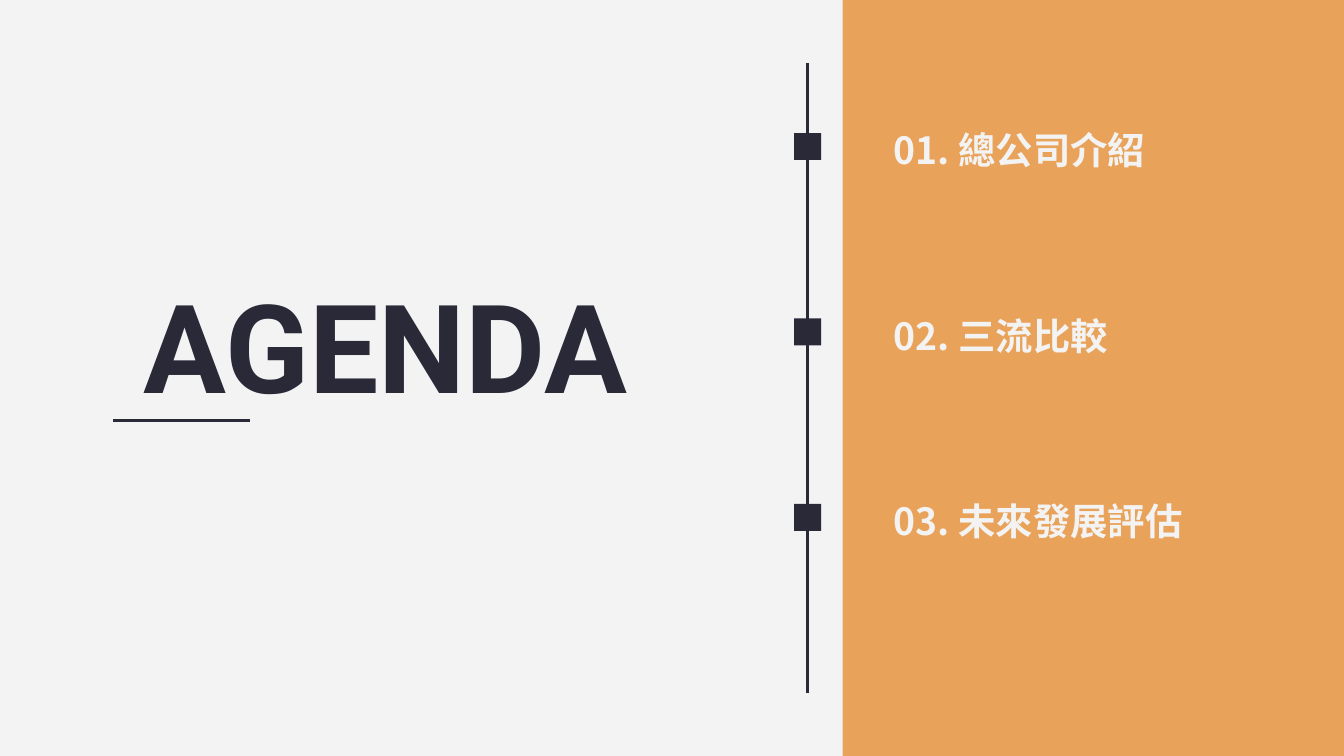
from pptx import Presentation
from pptx.dml.color import RGBColor
from pptx.enum.shapes import MSO_CONNECTOR, MSO_SHAPE
from pptx.enum.text import MSO_ANCHOR
from pptx.oxml.ns import qn
from pptx.util import Inches, Pt
from lxml import etree

DARK, LIGHT, ORANGE = "292938", "F3F3F3", "E9A259"


def color(value):
    return RGBColor.from_string(value)


def add_text(text, box, inset, size, font, fill):
    tb = s.shapes.add_textbox(*map(Inches, box))
    tf = tb.text_frame
    tf.word_wrap = True
    tf.vertical_anchor = MSO_ANCHOR.BOTTOM
    (tf.margin_left, tf.margin_top,
     tf.margin_right, tf.margin_bottom) = map(Inches, inset)
    p = tf.paragraphs[0]
    p.text = text
    p.font.size = Pt(size)
    p.font.bold = True
    p.font.name = font
    p.font.color.rgb = color(fill)
    # East Asian characters take their own font element
    props = p._p.pPr.find(qn("a:defRPr"))
    etree.SubElement(props, qn("a:ea")).set("typeface", font)


# Widescreen 16:9 slide
prs = Presentation()
prs.slide_width = Inches(10)
prs.slide_height = Inches(10 * 9 / 16)
s = prs.slides.add_slide(prs.slide_layouts[6])
s.background.fill.solid()
s.background.fill.fore_color.rgb = color(LIGHT)

# Right panel and timeline markers
marker_tops = [0.99 + 1.38 * i for i in range(3)]
panel = (6.27, 0, 3.73, 10 * 9 / 16, ORANGE)
markers = [(5.91, top, 0.2, 0.2, DARK) for top in marker_tops]
for *box, fill in [panel] + markers:
    sp = s.shapes.add_shape(MSO_SHAPE.RECTANGLE, *map(Inches, box))
    sp.shadow.inherit = False
    sp.fill.solid()
    sp.fill.fore_color.rgb = color(fill)
    sp.line.fill.background()

# Title underline and timeline
for ends in [(1.86, 3.13, 0.84, 3.13), (6.01, 0.47, 6.01, 5.16)]:
    line = s.shapes.add_connector(MSO_CONNECTOR.STRAIGHT, *map(Inches, ends))
    line.line.color.rgb = color(DARK)
    line.line.width = Pt(1.5)
    etree.SubElement(line._element.spPr, qn("a:effectLst"))

# Title
add_text("AGENDA", (0.97, 0.68, 4.41, 2.53), (0.1, 0.1, 0.1, 0.1),
         66, "Roboto", DARK)

# Agenda items, one beside each marker
items = ["總公司介紹", "三流比較", "未來發展評估"]
for i, (item, top) in enumerate(zip(items, marker_tops), 1):
    add_text(f"{i:02d}. {item}", (6.55, top - 0.13, 2.51, 0.42),
             (0.1, 0, 0, 0), 20, "Noto Sans CJK SC", LIGHT)

prs.save("out.pptx")
